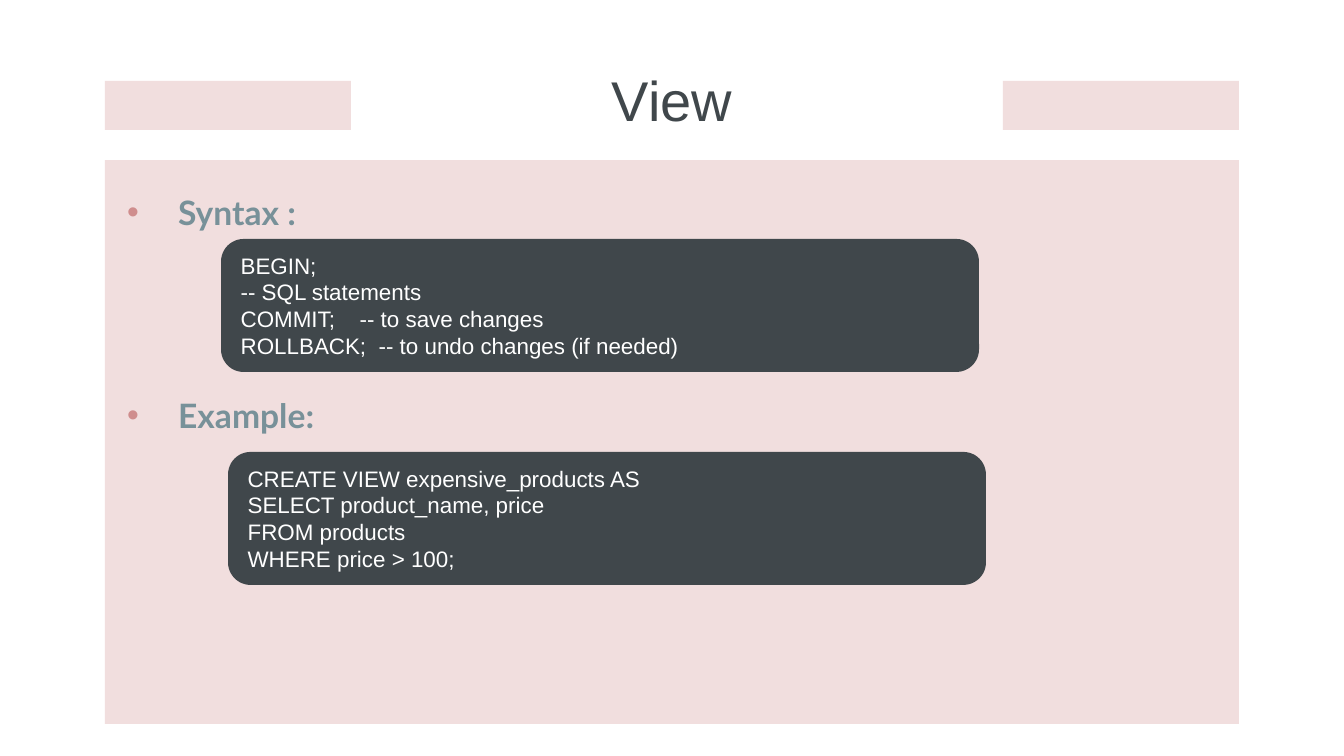
"""Build a slide on SQL views with a syntax block and an example block."""
from lxml.etree import SubElement
from pptx import Presentation
from pptx.dml.color import RGBColor
from pptx.enum.shapes import MSO_SHAPE as Preset
from pptx.enum.text import MSO_ANCHOR as Anchor, MSO_AUTO_SIZE as AutoSize, PP_ALIGN as Align
from pptx.oxml.ns import qn
from pptx.util import Emu, Pt

PX = 914400 / 134.4
COLORS = {"dark": "40474B", "blush": "F1DEDE", "heading": "789199",
          "bullet": "CF8D8D", "code": "FFFFFF"}


def px(*lengths):
    return [Emu(round(length * PX)) for length in lengths]


def set_font(paragraph, name, size, color, bold=False):
    font = paragraph.font
    font.name, font.size, font.bold = name, Pt(size), bold
    font.color.rgb = RGBColor.from_string(COLORS[color])


deck = Presentation()
deck.slide_width, deck.slide_height = px(1344, 756)
slide = deck.slides.add_slide(deck.slide_layouts[5])
shapes = slide.shapes
inset, = px(13)

title = shapes.title
title.left, title.top, title.width, title.height = px(105, 67, 1134, 79)
title.text = "View"
title_frame = title.text_frame
title_frame.auto_size = AutoSize.NONE
title_frame.vertical_anchor = Anchor.BOTTOM
title_frame.margin_top = title_frame.margin_bottom = inset
title_frame.paragraphs[0].alignment = Align.CENTER
set_font(title_frame.paragraphs[0], "Arial", 30, "dark")

for area in [(105, 81, 246, 49), (1003, 81, 236, 49), (105, 160, 1134, 564)]:
    panel = shapes.add_shape(Preset.RECTANGLE, *px(*area))
    panel.shadow.inherit = False
    panel.fill.solid()
    panel.fill.fore_color.rgb = RGBColor.from_string(COLORS["blush"])
    panel.line.fill.background()

sections = [
    ("Syntax :", 185, 221, 239, [
        ("BEGIN;", None),
        ("-- SQL statements", None),
        ("COMMIT;\t-- to save changes", 119),
        ("ROLLBACK;\t-- to undo changes (if needed)", 138)]),
    ("Example:", 388, 228, 452, [
        ("CREATE VIEW expensive_products AS", None),
        ("SELECT product_name, price", None),
        ("FROM products", None),
        ("WHERE price > 100;", None)]),
]

for label, label_top, code_left, code_top, lines in sections:
    heading = shapes.add_textbox(*px(114, label_top, 672, 54)).text_frame
    heading.word_wrap = True
    heading.auto_size = AutoSize.SHAPE_TO_FIT_TEXT
    item = heading.paragraphs[0]
    item.text = label
    set_font(item, "Lato", 18, "heading", bold=True)
    props = item._p.get_or_add_pPr()
    indent, = px(51)
    props.set("marL", str(indent))
    props.set("indent", str(-indent))
    bullet_color = props.makeelement(qn("a:buClr"), {})
    SubElement(bullet_color, qn("a:srgbClr"), val=COLORS["bullet"])
    bullet_font = props.makeelement(qn("a:buFont"), {"typeface": "Arial"})
    bullet = props.makeelement(qn("a:buChar"), {"char": "•"})
    for position, part in enumerate([bullet_color, bullet_font, bullet]):
        props.insert(position, part)

    block = shapes.add_shape(Preset.ROUNDED_RECTANGLE, *px(code_left, code_top, 758, 133))
    block.adjustments[0] = 0.17
    block.shadow.inherit = False
    block.fill.solid()
    block.fill.fore_color.rgb = RGBColor.from_string(COLORS["dark"])
    block.line.fill.background()
    code = block.text_frame
    code.word_wrap = True
    code.vertical_anchor = Anchor.MIDDLE
    code.margin_left = code.margin_right = code.margin_top = code.margin_bottom = inset
    code.text = "\n".join(text for text, _ in lines)
    for statement, (_, comment_at) in zip(code.paragraphs, lines):
        statement.alignment = Align.LEFT
        set_font(statement, "Arial", 12, "code")
        if comment_at:
            props = statement._p.get_or_add_pPr()
            stops = props.makeelement(qn("a:tabLst"), {})
            SubElement(stops, qn("a:tab"), pos=str(px(comment_at)[0]), algn="l")
            props.insert(0, stops)

deck.save("out.pptx")
